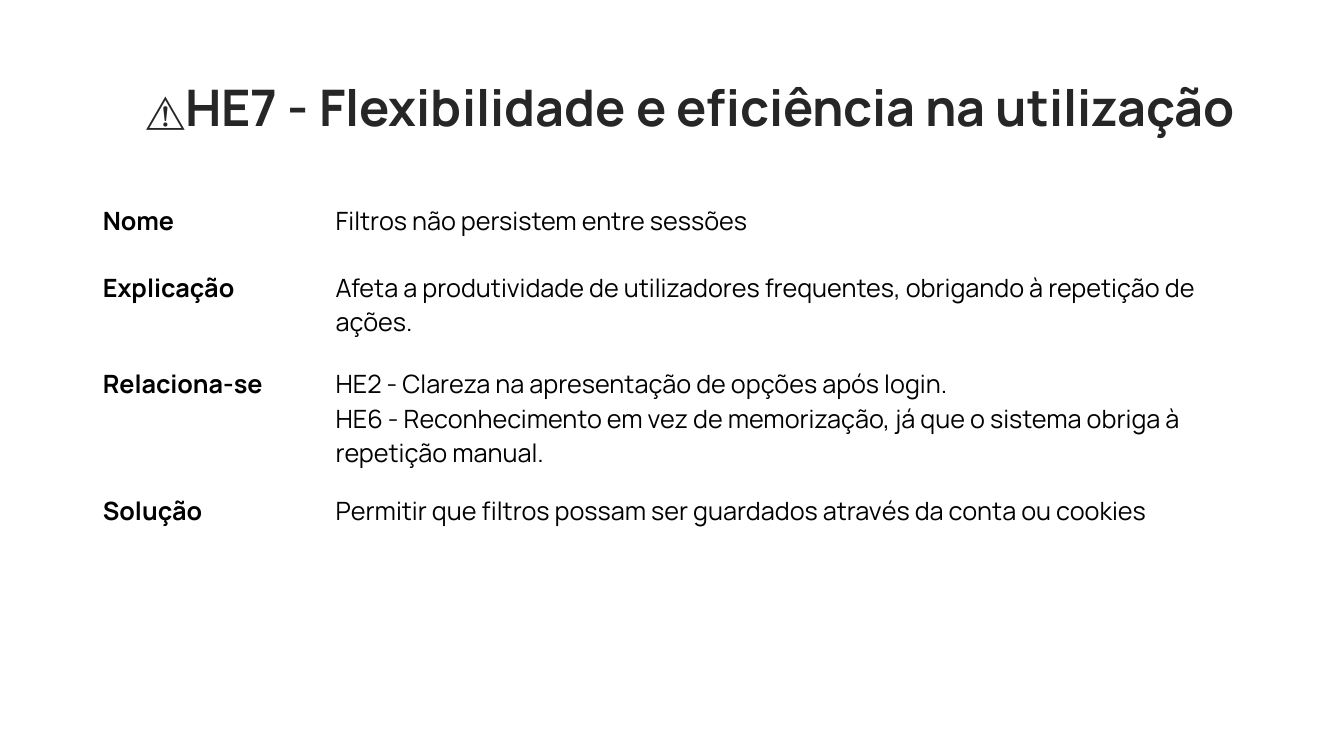
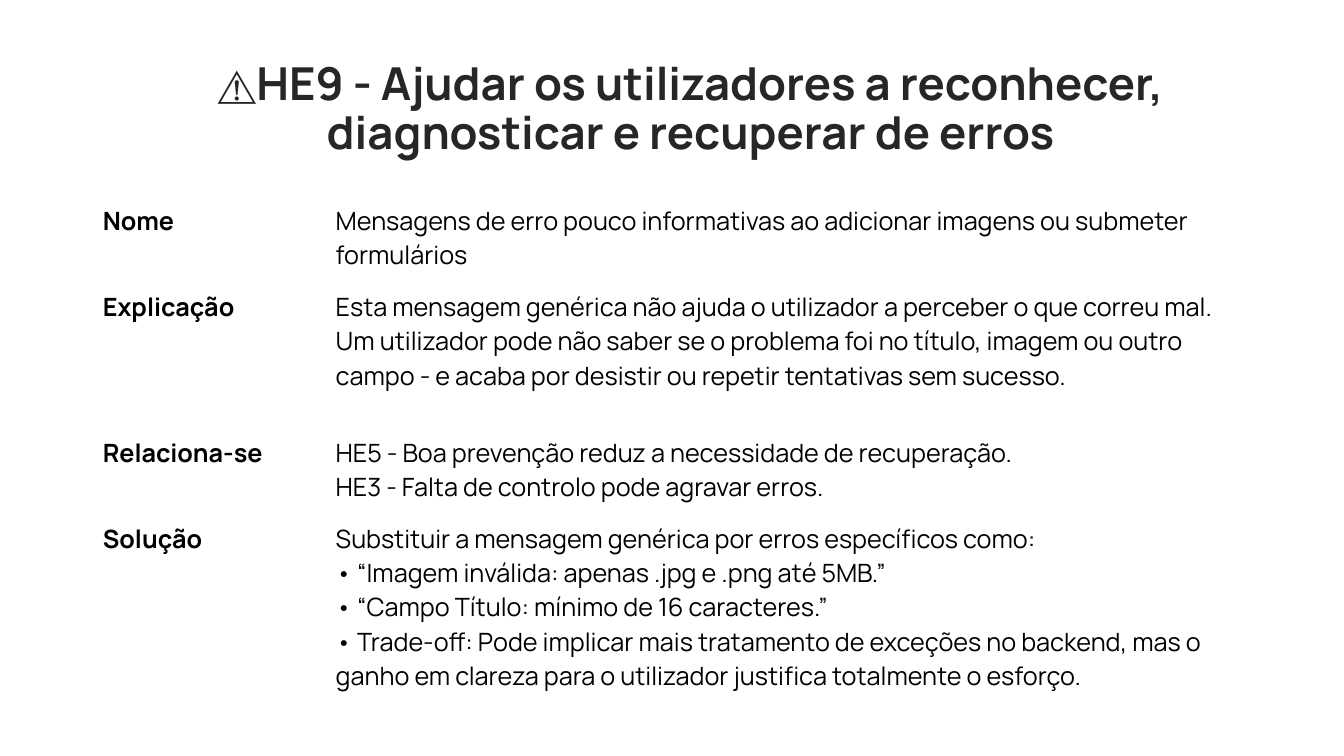
"""Two heuristic-evaluation slides: a title above four labelled rows."""
from pptx import Presentation
from pptx.dml.color import RGBColor
from pptx.enum.text import MSO_ANCHOR, MSO_AUTO_SIZE, PP_ALIGN
from pptx.util import Inches, Pt

MIDDLE, CENTER, LEFT = MSO_ANCHOR.MIDDLE, PP_ALIGN.CENTER, PP_ALIGN.LEFT
NO_FIT = MSO_AUTO_SIZE.NONE
COLORS = {"title": "262626", "text": "000000"}
FONT = "Manrope"
LABELS = ["Nome", "Explicação", "Relaciona-se", "Solução"]

TITLE_BOX = (5.4, 9.2, 91.97, 10.8)
COLUMNS = [(6.9, 15.75), (24.23, 68.87)]
TOP, PAD, LINE = 26.27, 1.33, 4

SLIDES = [
    {
        "title": "HE7 - Flexibilidade e eficiência na utilização",
        "sizes": (28, 36),
        "gap": 3.47,
        "rows": [
            (1, ["Filtros não persistem entre sessões"]),
            (2, ["Afeta a produtividade de utilizadores frequentes, obrigando à "
                 "repetição de ações."]),
            (3, ["HE2 - Clareza na apresentação de opções após login.",
                 "HE6 - Reconhecimento em vez de memorização, já que o sistema "
                 "obriga à repetição manual."]),
            (1, ["Permitir que filtros possam ser guardados através da conta ou "
                 "cookies"]),
        ],
    },
    {
        "title": "HE9 - Ajudar os utilizadores a reconhecer, diagnosticar e "
                 "recuperar de erros",
        "sizes": (27.9, 32.4),
        "gap": 2,
        "rows": [
            (2, ["Mensagens de erro pouco informativas ao adicionar imagens ou "
                 "submeter formulários"]),
            (4, ["Esta mensagem genérica não ajuda o utilizador a perceber o que "
                 "correu mal. Um utilizador pode não saber se o problema foi no "
                 "título, imagem ou outro campo - e acaba por desistir ou repetir "
                 "tentativas sem sucesso."]),
            (2, ["HE5 - Boa prevenção reduz a necessidade de recuperação.",
                 "HE3 - Falta de controlo pode agravar erros."]),
            (5, ["Substituir a mensagem genérica por erros específicos como:",
                 "• “Imagem inválida: apenas .jpg e .png até 5MB.”",
                 "• “Campo Título: mínimo de 16 caracteres.”",
                 "• Trade-off: Pode implicar mais tratamento de exceções no "
                 "backend, mas o ganho em clareza para o utilizador justifica "
                 "totalmente o esforço."]),
        ],
    },
]

prs = Presentation()
prs.slide_width, prs.slide_height = Inches(13.33), Inches(7.5)


def box(left, top, width, height):
    """Turn percentages of the slide into lengths."""
    w, h = prs.slide_width / 100, prs.slide_height / 100
    return int(left * w), int(top * h), int(width * w), int(height * h)


def add_run(p, text, size, color, bold):
    """Add a formatted run to a paragraph."""
    r = p.add_run()
    r.text = text
    for name, value in {"name": FONT, "size": Pt(size), "bold": bold}.items():
        setattr(r.font, name, value)
    r.font.color.rgb = RGBColor.from_string(COLORS[color])


for data in SLIDES:
    s = prs.slides.add_slide(prs.slide_layouts[5])
    title = s.shapes.title
    title.left, title.top, title.width, title.height = box(*TITLE_BOX)
    tf = title.text_frame
    for name, value in {"word_wrap": True, "auto_size": NO_FIT,
                        "vertical_anchor": MIDDLE}.items():
        setattr(tf, name, value)
    p = tf.paragraphs[0]
    p.alignment, p.line_spacing = CENTER, 0.9
    for text, size in zip(("⚠️", data["title"]), data["sizes"]):
        add_run(p, text, size, "title", True)

    top = TOP
    for label, (lines, body) in zip(LABELS, data["rows"]):
        cells = [(1, [label], True), (lines, body, False)]
        for (left, width), (count, texts, bold) in zip(COLUMNS, cells):
            frame = s.shapes.add_table(
                1, 1, *box(left, top, width, PAD + LINE * count))
            height = frame.height
            table = frame.table
            table.first_row = table.horz_banding = False
            table.rows[0].height = box(0, 0, 0, PAD + LINE)[3]
            frame.height = height
            cell = table.cell(0, 0)
            cell.fill.background()
            cell.vertical_anchor = MIDDLE
            tf = cell.text_frame
            for i, text in enumerate(texts):
                p = tf.add_paragraph() if i else tf.paragraphs[0]
                p.alignment = LEFT
                add_run(p, text, 18, "text", bold)
        top += PAD + LINE * lines + data["gap"]

prs.save("out.pptx")
